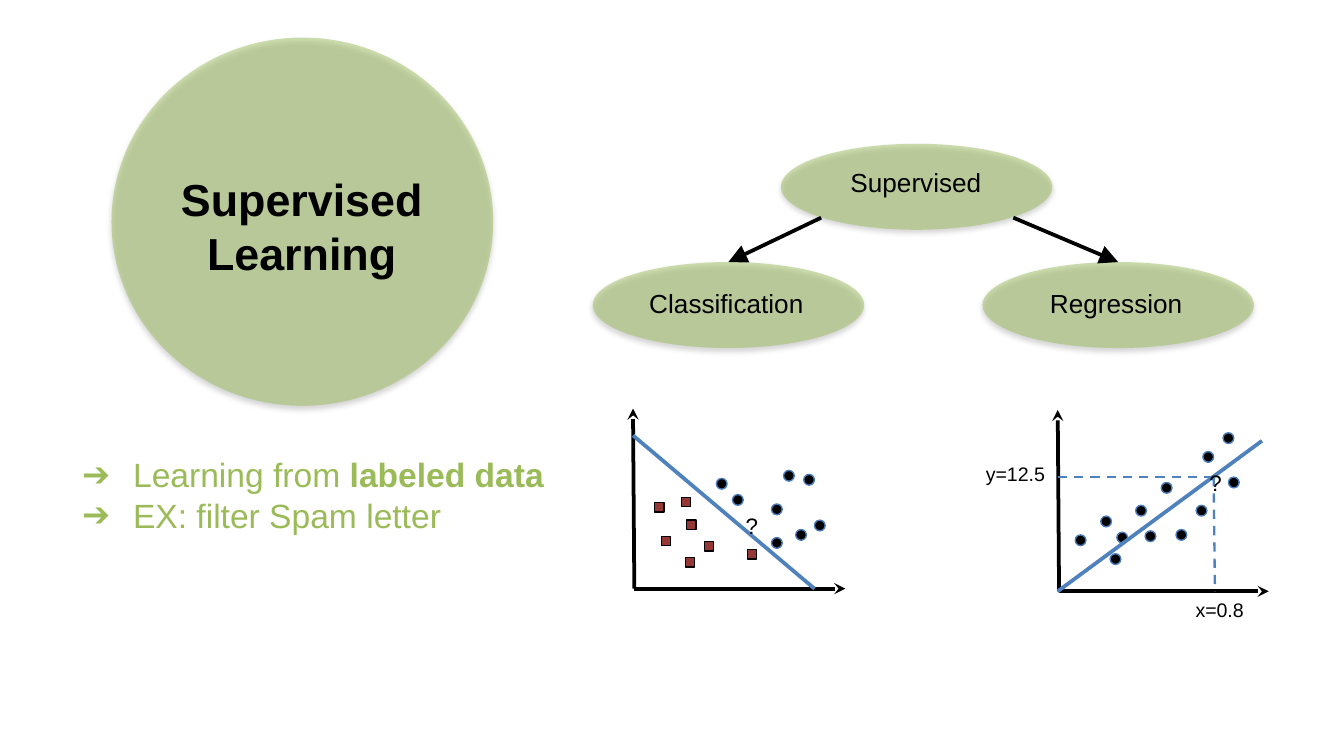
"""Build a slide on supervised learning: a title, a small tree and two plots."""
import pptx
import pptx.util
import pptx.dml.color
import pptx.enum.dml
import pptx.enum.shapes
import pptx.enum.text
import pptx.oxml
import pptx.oxml.ns

PX = 9144
SIZE = (1000, 562.5)
HEX = {"green": "9BBB59", "black": "000000", "blue": "4F81BD", "edge": "4A7DBA", "red": "953734"}

TITLE = [[("Supervised", True)], [("Learning", True)]]
POINTS = [[("Learning from ", False), ("labeled data", True)], [("EX: filter Spam letter", False)]]
CIRCLE = (83, 28, 284, 274)
NODES = [("Supervised", (581, 107), (584, 119)),
         ("Classification", (441, 195), (443, 209)),
         ("Regression", (731, 195), (733, 209))]
OVAL = (202, 64)
NAME = (195, 36)

LINES = [
    ((754, 162), (832, 195), "black", 2, "triangle", False),
    ((611, 162), (542, 195), "black", 2, "triangle", False),
    ((788, 440), (787, 305), "black", 2, "stealth", False),
    ((788, 440), (944, 440), "black", 2, "stealth", False),
    ((472, 438), (471, 304), "black", 2, "stealth", False),
    ((472, 438), (629, 438), "black", 2, "stealth", False),
    ((787, 440), (939, 328), "blue", 2, None, False),
    ((903, 355), (904, 440), "blue", 1.25, None, True),
    ((903, 355), (787, 355), "blue", 1.25, None, True),
    ((471, 324), (606, 438), "blue", 2, None, False),
]
HEADS = {"triangle": "lg", "stealth": "med"}
MARKS = [
    ("OVAL", 8, "black", "edge", [
        (800, 398), (819, 384), (831, 396), (845, 376), (852, 395), (864, 359),
        (890, 376), (895, 336), (875, 394), (914, 355), (910, 322), (826, 412),
        (574, 400), (592, 394), (574, 375), (583, 350), (598, 353), (606, 387),
        (533, 356), (545, 368)]),
    ("RECTANGLE", 7, "red", "black", [
        (487, 374), (492, 399), (511, 387), (556, 409), (507, 370), (524, 403), (510, 415)]),
]
LABELS = [
    ("x=0.8", (860, 440, 95, 20), 10.5),
    ("y=12.5", (708, 339, 95, 20), 10.5),
    ("?", (545, 376, 26, 22), 12),
    ("?", (890, 344, 26, 22), 12),
]
SHADE = """<a:outerShdw %s blurRad="39370" dist="22860" dir="5400000" rotWithShape="0">
<a:srgbClr val="000000"><a:alpha val="34000"/></a:srgbClr></a:outerShdw>"""

NS = pptx.oxml.ns.nsdecls("a")
QN = pptx.oxml.ns.qn
ALIGN = pptx.enum.text.PP_ALIGN
FRAME = {"word_wrap": True, "auto_size": pptx.enum.text.MSO_AUTO_SIZE.NONE,
         "vertical_anchor": pptx.enum.text.MSO_ANCHOR.TOP,
         "margin_left": 10 * PX, "margin_right": 10 * PX,
         "margin_top": 5 * PX, "margin_bottom": 5 * PX}


def style(item, vals):
    for key, val in vals.items():
        setattr(item, key, val)


def node(xml):
    return pptx.oxml.parse_xml(xml)


def tint(name):
    return pptx.dml.color.RGBColor.from_string(HEX[name])


def place(item, box):
    style(item, dict(zip(("left", "top", "width", "height"), (v * PX for v in box))))


def write(item, paras, size, hue="black", bullet=None):
    frame = item.text_frame
    style(frame, FRAME)
    for num, runs in enumerate(paras):
        para = frame.add_paragraph() if num else frame.paragraphs[0]
        style(para, {"alignment": ALIGN.LEFT if bullet else ALIGN.CENTER,
                     "space_before": pptx.util.Pt(0), "line_spacing": 1.0})
        if bullet:
            props = para._p.get_or_add_pPr()
            props.set("marL", str(50 * PX))
            props.set("indent", str(-38 * PX))
            props.append(node(f'<a:buClr {NS}><a:srgbClr val="{HEX[hue]}"/></a:buClr>'))
            props.append(node(f'<a:buChar {NS} char="{bullet}"/>'))
        for text, bold in runs:
            run = para.add_run()
            run.text = text
            style(run.font, {"name": "Arial", "size": pptx.util.Pt(size), "bold": bold})
            run.font.color.rgb = tint(hue)


def shape(slide, kind, box, fill, edge=None):
    form = slide.shapes.add_shape(pptx.enum.shapes.MSO_SHAPE[kind], *(v * PX for v in box))
    form.shadow.inherit = False
    form.fill.solid()
    form.fill.fore_color.rgb = tint(fill)
    if edge:
        form.line.color.rgb = tint(edge)
        form.line.width = pptx.util.Pt(0.75)
    else:
        form.line.fill.background()
    return form


def bubble(slide, box):
    form = shape(slide, "OVAL", box, "green")
    props = form.element.spPr
    props.find(QN("a:effectLst")).append(node(SHADE % NS))
    props.find(QN("a:solidFill"))[0].append(node(f'<a:alpha {NS} val="48000"/>'))
    return form


def label(slide, text, box, size):
    item = slide.shapes.add_textbox(0, 0, PX, PX)
    place(item, box)
    write(item, [[(text, False)]], size)


def link(slide, start, end, hue, width, head, dash):
    kind = pptx.enum.shapes.MSO_CONNECTOR.STRAIGHT
    line = slide.shapes.add_connector(kind, *(v * PX for v in start + end))
    line.line.color.rgb = tint(hue)
    line.line.width = pptx.util.Pt(width)
    if dash:
        line.line.dash_style = pptx.enum.dml.MSO_LINE.DASH
    if head:
        size = HEADS[head]
        tip = node(f'<a:tailEnd {NS} type="{head}" w="{size}" len="{size}"/>')
        line.line._get_or_add_ln().append(tip)
    line.element.spPr.append(node(f"<a:effectLst {NS}/>"))


def main():
    deck = pptx.Presentation()
    style(deck, dict(zip(("slide_width", "slide_height"), (int(v * PX) for v in SIZE))))
    slide = deck.slides.add_slide(deck.slide_layouts[1])
    title, body = slide.placeholders
    place(title, (88, 123, 273, 102))
    write(title, TITLE, 24)
    place(body, (39, 333, 417, 85))
    write(body, POINTS, 18, "green", "➔")
    title.element.addprevious(bubble(slide, CIRCLE).element)

    for text, spot, inner in NODES:
        bubble(slide, spot + OVAL)
        label(slide, text, inner + NAME, 14)
    for kind, side, fill, edge, spots in MARKS:
        for spot in spots:
            shape(slide, kind, (*spot, side, side), fill, edge)
    for line in LINES:
        link(slide, *line)
    for item in LABELS:
        label(slide, *item)
    deck.save("out.pptx")


if __name__ == "__main__":
    main()
